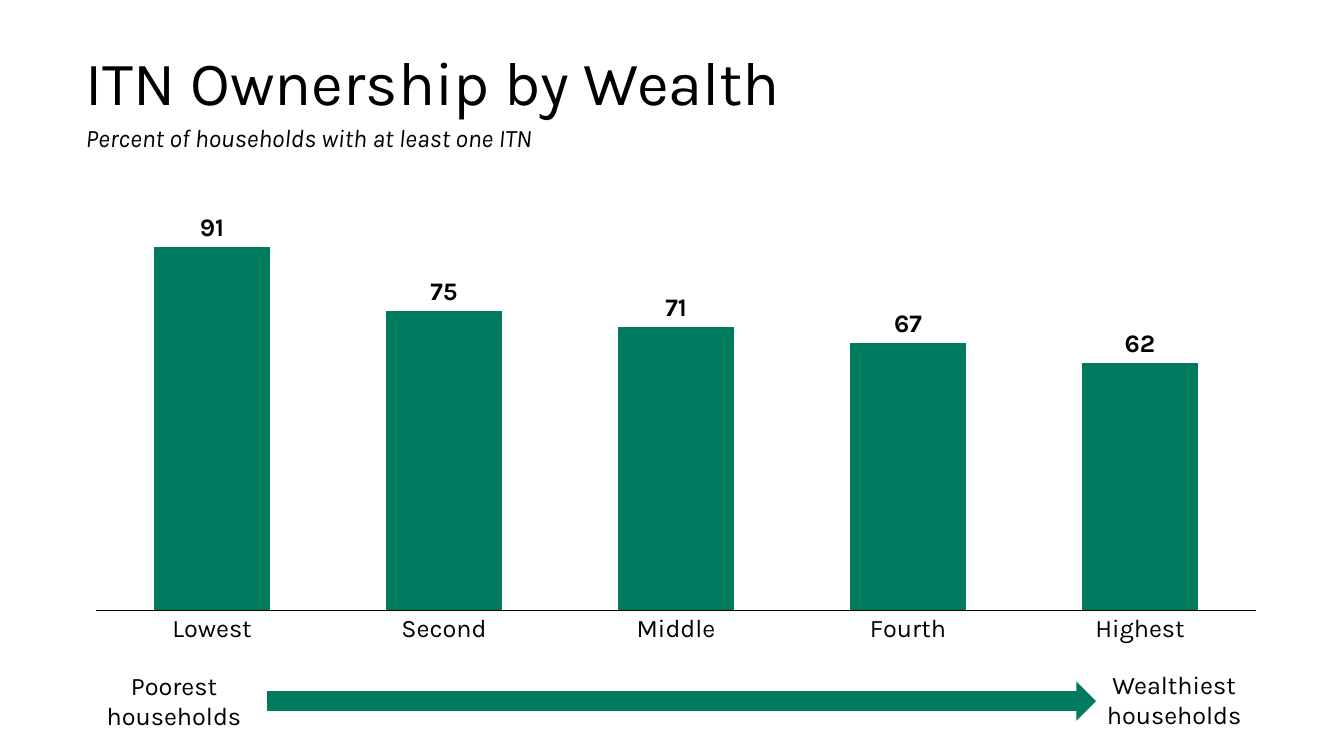
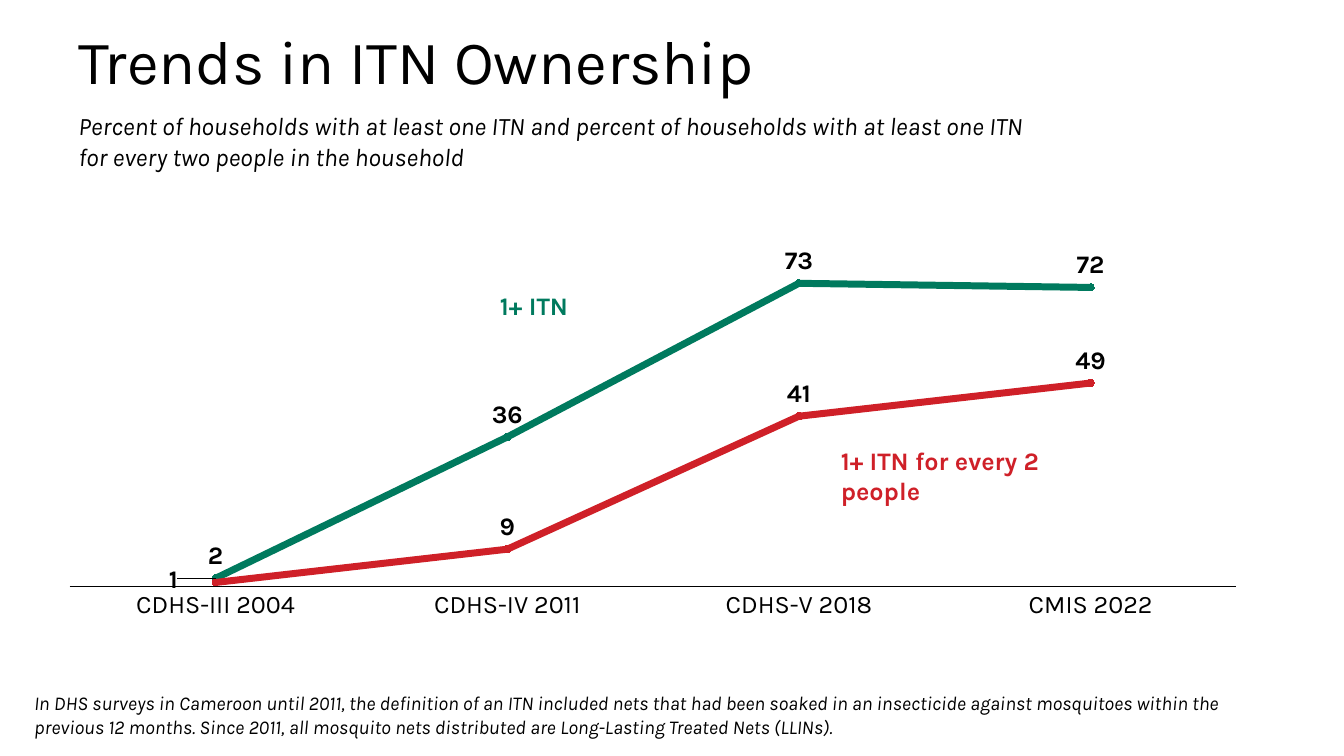
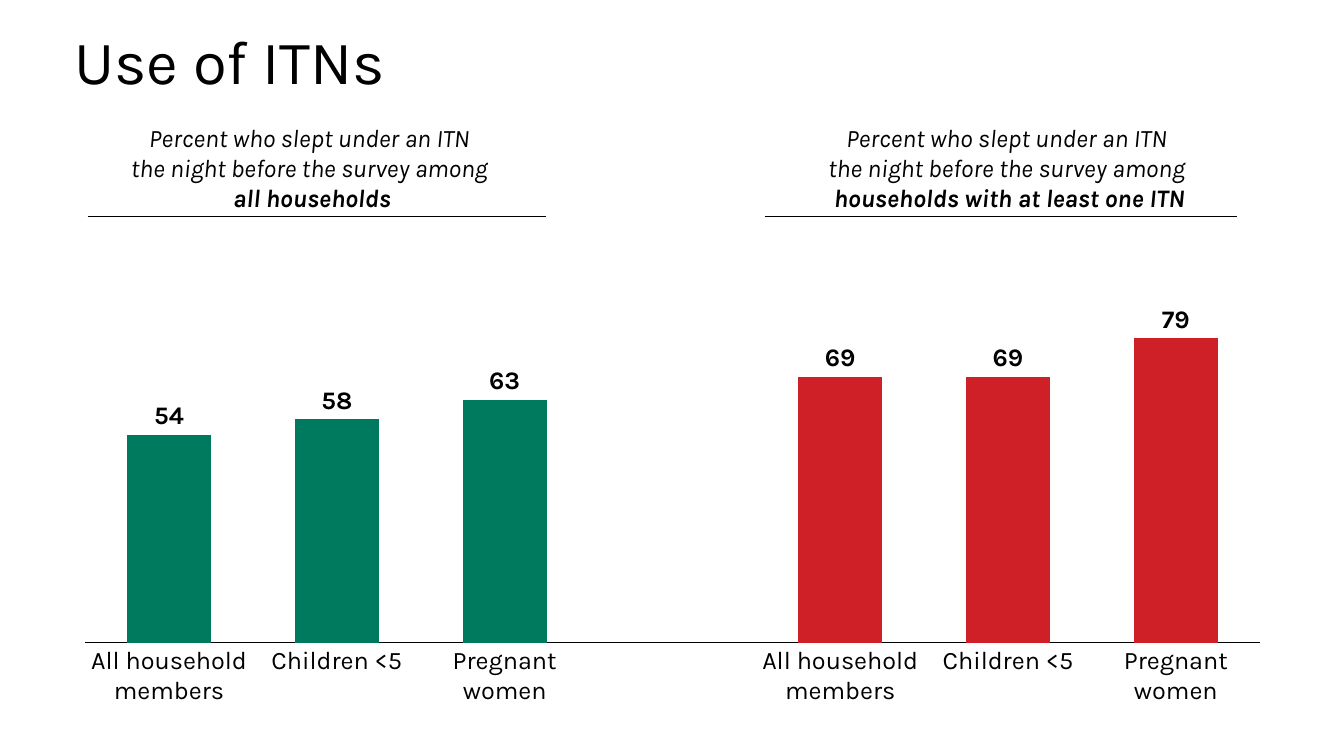
import pptx
import pptx.util
import pptx.chart.data
import pptx.dml.color
import pptx.enum.chart
import pptx.enum.shapes
import pptx.enum.text
import pptx.oxml

Pt = pptx.util.Pt
tint = pptx.dml.color.RGBColor.from_string
Kind = pptx.enum.chart.XL_CHART_TYPE
Spot = pptx.enum.chart.XL_LABEL_POSITION
Align = pptx.enum.text.PP_ALIGN
FONT, INK, GREEN, RED = "Karla", "000000", "007A5E", "CF2028"
LAYOUT = (
    '<c:layout xmlns:c="http://schemas.openxmlformats.org/drawingml/2006/chart">'
    "<c:manualLayout>%s</c:manualLayout></c:layout>"
)
INNER = (
    '<c:layoutTarget val="inner"/><c:xMode val="edge"/><c:yMode val="edge"/>'
    '<c:x val="%s"/><c:y val="%s"/><c:w val="%s"/><c:h val="%s"/>'
)
SHIFT = '<c:x val="-0.035"/><c:y val="0.04"/>'
EFFECT = '<a:effectLst xmlns:a="http://schemas.openxmlformats.org/drawingml/2006/main"/>'

deck = pptx.Presentation()
deck.slide_width = pptx.util.Inches(13.33)
deck.slide_height = pptx.util.Inches(7.5)


def area(x, y, w, h):
    col, row = deck.slide_width / 100, deck.slide_height / 100
    return [int(n) for n in (x * col, y * row, w * col, h * row)]


def write(slide, box, lines, size=18, hue=INK, bold=False, slant=False, align=Align.LEFT):
    frame = slide.shapes.add_textbox(*area(*box)).text_frame
    frame.word_wrap = True
    for at, line in enumerate(lines):
        para = frame.add_paragraph() if at else frame.paragraphs[0]
        para.alignment = align
        for nth, part in enumerate(line.split("\n")):
            if nth:
                para.add_line_break()
            run = para.add_run()
            run.text = part
            run.font.name, run.font.size = FONT, Pt(size)
            run.font.bold, run.font.italic = bold, slant
            run.font.color.rgb = tint(hue)
    return frame


plans = [
    dict(
        title="ITN Ownership by Wealth", head=(5.63, 4.67, 86.27, 13.33),
        kind=Kind.COLUMN_CLUSTERED, box=(5.63, 23.47, 89.35, 63.07),
        plot=(0.017, 0.07, 0.966, 0.838),
        cats=["Lowest", "Second", "Middle", "Fourth", "Highest"],
        rows=[(GREEN, [91, 75, 71, 67, 62])],
    ),
    dict(
        title="Trends in ITN Ownership", head=(5.1, 0.8, 89.87, 15.47),
        kind=Kind.LINE_MARKERS, box=(5.1, 19.6, 89.87, 64.67),
        plot=(0.001, 0.047, 0.966, 0.85),
        cats=["CDHS-III 2004", "CDHS-IV 2011", "CDHS-V 2018", "CMIS 2022"],
        rows=[(GREEN, [2, 36, 73, 72]), (RED, [1, 9, 41, 49])],
    ),
    dict(
        title="Use of ITNs", head=(4.8, 0.8, 90.47, 15.47),
        kind=Kind.COLUMN_CLUSTERED, box=(4.8, 28.8, 90.47, 71.2),
        plot=(0.017, 0.074, 0.966, 0.716),
        cats=["All household members", "Children <5", "Pregnant women", "",
              "All household members", "Children <5", "Pregnant women"],
        rows=[(GREEN, [54, 58, 63, None, 69, 69, 79])],
    ),
]

slides, charts = [], []
for plan in plans:
    slide = deck.slides.add_slide(deck.slide_layouts[6])
    frame = write(slide, plan["head"], [plan["title"]], size=44)
    frame.vertical_anchor = pptx.enum.text.MSO_ANCHOR.MIDDLE
    frame.paragraphs[0].line_spacing = 0.9

    data = pptx.chart.data.CategoryChartData()
    data.categories = plan["cats"]
    for nth, (hue, vals) in enumerate(plan["rows"], 1):
        data.add_series(f"Series {nth}", vals)
    chart = slide.shapes.add_chart(plan["kind"], *area(*plan["box"]), data).chart
    chart.has_legend = chart.has_title = False
    chart.font.name, chart.font.size = FONT, Pt(18)
    chart.font.color.rgb = tint(INK)
    axis = chart.category_axis
    axis.major_tick_mark = pptx.enum.chart.XL_TICK_MARK.NONE
    axis.format.line.color.rgb = tint(INK)
    axis.format.line.width = Pt(0.75)
    scale = chart.value_axis
    scale.visible = scale.has_major_gridlines = False
    scale.minimum_scale, scale.maximum_scale = 0, 100
    chart.plots[0].vary_by_categories = False

    for series, (hue, vals) in zip(chart.plots[0].series, plan["rows"]):
        labels = series.data_labels
        labels.show_value = True
        labels.font.name, labels.font.size, labels.font.bold = FONT, Pt(18), True
        labels.font.color.rgb = tint(INK)
        if plan["kind"] == Kind.LINE_MARKERS:
            labels.position = Spot.ABOVE
            series.smooth = False
            series.format.line.color.rgb = tint(hue)
            series.format.line.width = Pt(5)
            mark = series.marker
            mark.style, mark.size = pptx.enum.chart.XL_MARKER_STYLE.CIRCLE, 5
            mark.format.fill.solid()
            mark.format.fill.fore_color.rgb = tint(hue)
            mark.format.line.color.rgb = tint(hue)
        else:
            labels.position = Spot.OUTSIDE_END
            chart.plots[0].gap_width = 100
            series.invert_if_negative = False
            series.format.fill.solid()
            series.format.fill.fore_color.rgb = tint(hue)

    field = chart.element.xpath(".//c:plotArea")[0]
    for old in field.xpath("c:layout"):
        field.remove(old)
    field.insert(0, pptx.oxml.parse_xml(LAYOUT % (INNER % plan["plot"])))
    slides.append(slide)
    charts.append(chart)

wealth, trend, usage = slides

write(wealth, (5.63, 15.47, 89.35, 5.33),
      ["Percent of households with at least one ITN"], slant=True)
arrow = wealth.shapes.add_shape(
    pptx.enum.shapes.MSO_SHAPE.RIGHT_ARROW, *area(19.88, 90.13, 61.67, 5.2))
arrow.shadow.inherit = False
arrow.fill.solid()
arrow.fill.fore_color.rgb = tint(GREEN)
arrow.line.fill.background()
for x, y, word in [(7.13, 88, "Poorest"), (81.55, 87.87, "Wealthiest")]:
    write(wealth, (x, y, 11.63, 9.47), [f"{word} households"], align=Align.CENTER)

label = charts[1].plots[0].series[1].points[0].data_label
label.position = Spot.ABOVE
label.font.name, label.font.size, label.font.bold = FONT, Pt(18), True
label.font.color.rgb = tint(INK)
charts[1].element.xpath(".//c:dLbl/c:idx")[0].addnext(
    pptx.oxml.parse_xml(LAYOUT % SHIFT))
write(trend, (5.1, 14, 89.87, 9.47),
      ["Percent of households with at least one ITN and percent of households "
       "with at least one ITN \nfor every two people in the household"], slant=True)
write(trend, (1.8, 90.8, 93.17, 7.6),
      ["In DHS surveys in Cameroon until 2011, the definition of an ITN included nets "
       "that had been soaked in an insecticide against mosquitoes within the previous "
       "12 months. Since 2011, all mosquito nets distributed are Long-Lasting Treated "
       "Nets (LLINs)."], size=14, slant=True)
write(trend, (36.46, 37.73, 7.5, 5.33), ["1+ ITN"], hue=GREEN, bold=True)
write(trend, (61.82, 58.27, 22.2, 9.47), ["1+ ITN for every 2 people"], hue=RED, bold=True)

for point in range(4, 7):
    fill = charts[2].plots[0].series[0].points[point].format.fill
    fill.solid()
    fill.fore_color.rgb = tint(RED)
for x, w, start, end, group in [
    (4.8, 36.83, 6.53, 40.66, "all households"),
    (54.91, 40.36, 56.94, 92.05, "households with at least one ITN"),
]:
    frame = write(usage, (x, 15.47, w, 13.47),
                  ["Percent who slept under an ITN ",
                   "the night before the survey among ", group],
                  slant=True, align=Align.CENTER)
    frame.paragraphs[2].runs[0].font.bold = True
    left, top, wide, tall = area(start, 28.67, end - start, 0)
    rule = usage.shapes.add_connector(
        pptx.enum.shapes.MSO_CONNECTOR.STRAIGHT, left, top, left + wide, top)
    rule.line.color.rgb = tint(INK)
    rule.line.width = Pt(0.5)
    rule.element.spPr.append(pptx.oxml.parse_xml(EFFECT))

deck.save("out.pptx")
